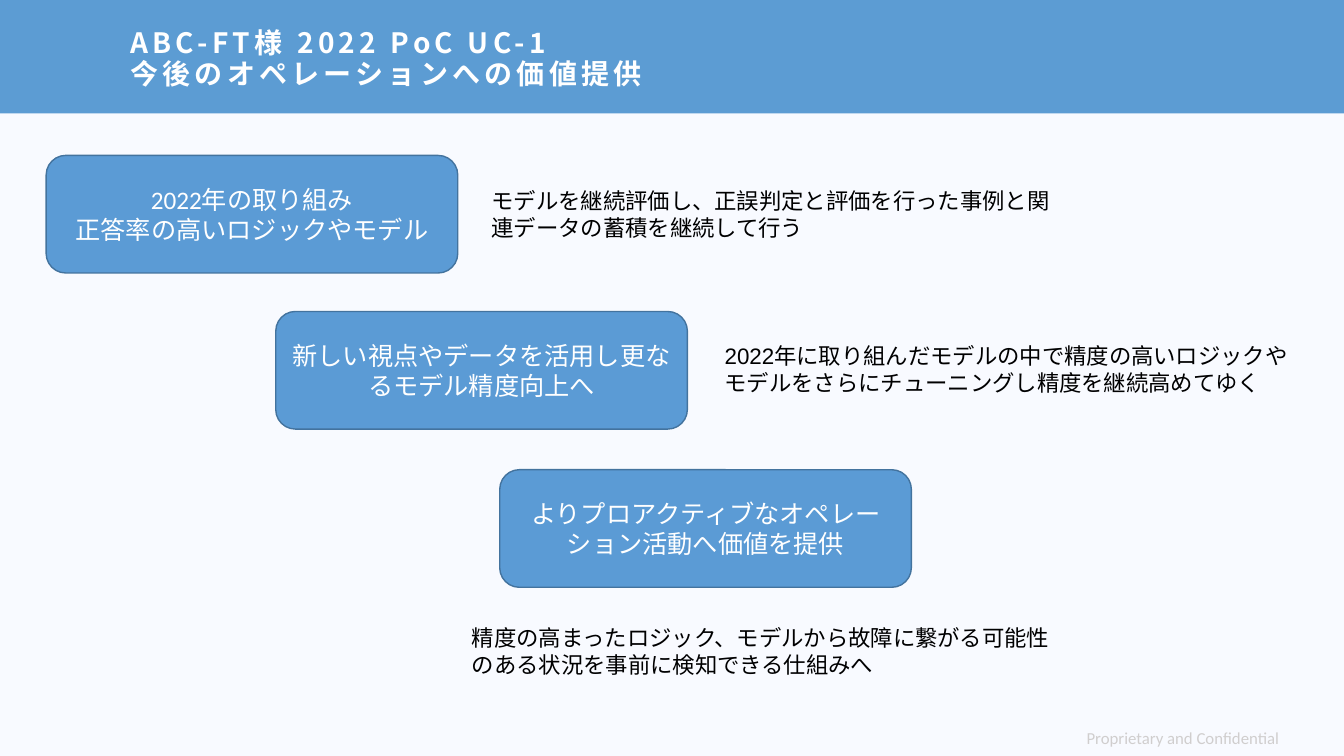
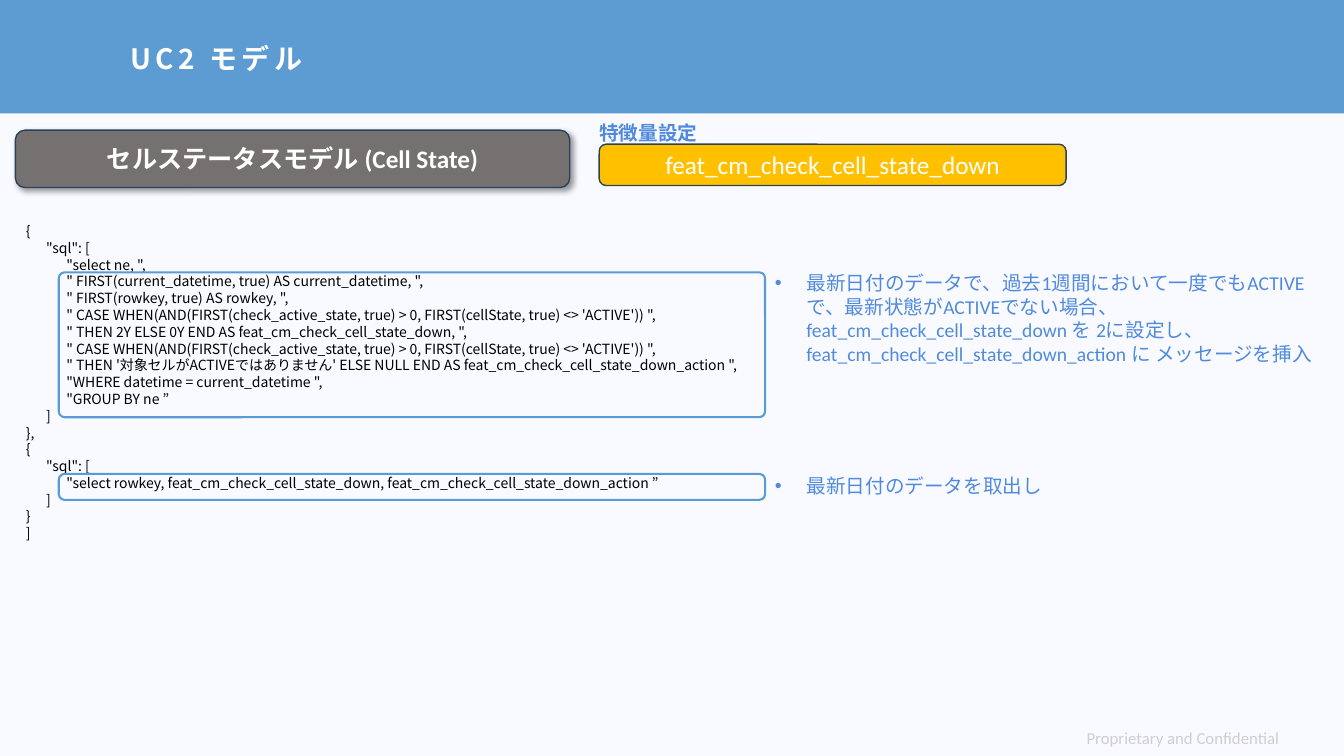
from dataclasses import dataclass

from lxml import etree
from pptx import Presentation
from pptx.dml.color import RGBColor
from pptx.enum.shapes import MSO_SHAPE
from pptx.enum.text import MSO_ANCHOR, MSO_AUTO_SIZE, PP_ALIGN
from pptx.oxml.ns import qn
from pptx.util import Pt

RECT, ROUND = MSO_SHAPE.RECTANGLE, MSO_SHAPE.ROUNDED_RECTANGLE
LEFT, CENTER = PP_ALIGN.LEFT, PP_ALIGN.CENTER
MIDDLE, NO_FIT = MSO_ANCHOR.MIDDLE, MSO_AUTO_SIZE.NONE
TITLE_ONLY = 5


@dataclass(frozen=True)
class Theme:
    # Colours
    back: str = "F8FAFF"
    band: str = "5C9CD3"
    blue: str = "5B9BD5"
    edge: str = "43739E"
    navy: str = "28445D"
    gray: str = "767171"
    gold: str = "FFC000"
    note: str = "518ADC"
    pale: str = "D0CECE"
    white: str = "FFFFFF"
    black: str = "000000"
    # Fonts
    body: str = "Calibri"
    plain: str = "Arial"
    mono: str = "Noto Sans CJK JP"
    # Type sizes
    head: int = 20
    large: int = 18
    text: int = 16
    small: int = 14
    foot: int = 12
    code: int = 10


def rgb(color):
    return RGBColor.from_string(color)


def child(node, tag, **attrs):
    return etree.SubElement(node, qn(tag), attrs)


class Deck:
    """The style, the presentation and the current slide."""

    def __init__(self, theme):
        self.theme = theme
        self.prs = Presentation()
        self.prs.slide_width, self.prs.slide_height = Pt(960), Pt(540)
        self.slide = None

    def style(self, par, size, color, font=None, bold=False):
        par.font.name = font or self.theme.body
        par.font.size = Pt(size)
        par.font.bold = bold
        par.font.color.rgb = rgb(color)

    def page(self, title):
        """Start a slide with its band, footer and title."""
        t = self.theme
        self.slide = self.prs.slides.add_slide(self.prs.slide_layouts[TITLE_ONLY])
        fill = self.slide.background.fill
        fill.solid()
        fill.fore_color.rgb = rgb(t.back)
        self.shape(0, 0, 960, 81, RECT, fill=t.band)
        self.text("Proprietary and Confidential", 769, 516, 190, 22,
                  t.foot, t.pale)

        head = self.slide.shapes.title
        self.slide.shapes._spTree.append(head._element)  # in front of the band
        head.left, head.top, head.width, head.height = Pt(86), Pt(13), Pt(850), Pt(59)
        frame = head.text_frame
        frame.auto_size, frame.vertical_anchor = NO_FIT, MIDDLE
        frame.word_wrap = True
        par = frame.paragraphs[0]
        par.text = title.replace("\n", "\v")
        par.alignment, par.line_spacing = LEFT, Pt(21.6)
        self.style(par, t.head, t.white, t.mono, True)
        par.font._element.set("spc", "300")

    def shape(self, x, y, w, h, kind=ROUND, fill=None, line=None, width=1):
        item = self.slide.shapes.add_shape(kind, Pt(x), Pt(y), Pt(w), Pt(h))
        item.shadow.inherit = False
        if fill:
            item.fill.solid()
            item.fill.fore_color.rgb = rgb(fill)
        else:
            item.fill.background()
        if line:
            item.line.color.rgb = rgb(line)
            item.line.width = Pt(width)
        else:
            item.line.fill.background()
        return item

    def label(self, text, x, y, w, h, fill, line, bold=False):
        """Rounded box with centred white text."""
        item = self.shape(x, y, w, h, fill=fill, line=line)
        frame = item.text_frame
        frame.text = text
        frame.word_wrap, frame.vertical_anchor = True, MIDDLE
        for par in frame.paragraphs:
            par.alignment = CENTER
            self.style(par, self.theme.large, self.theme.white, bold=bold)
        return item

    def shade(self, item):
        """Soft shadow to the lower right."""
        effects = item._element.spPr.find(qn("a:effectLst"))
        outer = child(effects, "a:outerShdw", blurRad=str(Pt(4)), dist=str(Pt(3)),
                      dir="2700000", algn="tl", rotWithShape="0")
        tint = child(outer, "a:srgbClr", val=self.theme.black)
        child(tint, "a:alpha", val="40000")

    def text(self, text, x, y, w, h, size, color, font=None, bold=False, wrap=True):
        box = self.slide.shapes.add_textbox(Pt(x), Pt(y), Pt(w), Pt(h))
        frame = box.text_frame
        frame.word_wrap = wrap
        frame.text = text
        for par in frame.paragraphs:
            self.style(par, size, color, font, bold)
        return frame

    def bullet(self, text, x, y, w, h):
        frame = self.text("", x, y, w, h, self.theme.small, self.theme.note)
        par = frame.add_paragraph() if frame.text else frame.paragraphs[0]
        props = par._p.get_or_add_pPr()
        for node in list(props):
            props.remove(node)
        props.set("marL", str(Pt(22.5)))
        props.set("indent", str(-Pt(22.5)))
        child(props, "a:buFont", typeface=self.theme.plain)
        child(props, "a:buChar", char="•")
        par.text = text
        self.style(par, self.theme.small, self.theme.note)

    def code(self, text, x, y, w, h):
        t = self.theme
        box = self.slide.shapes.add_textbox(Pt(x), Pt(y), Pt(w), Pt(h))
        box.text_frame.word_wrap = False
        box.text_frame.text = text.replace("    ", "\t")
        for par in box.text_frame.paragraphs:
            tabs = child(par._p.get_or_add_pPr(), "a:tabLst")
            for level in (1, 2):
                child(tabs, "a:tab", pos=str(Pt(14.4 * level)), algn="l")
            par.line_spacing = Pt(12)
            self.style(par, t.code, t.black, t.mono)

    def frame(self, x, y, w, h, round_by):
        """Outline around a part of the code."""
        item = self.shape(x, y, w, h, line=self.theme.blue, width=1.5)
        item.adjustments[0] = round_by


# Box text, box place, note text, note place
STEPS = [
    ("2022年の取り組み\n正答率の高いロジックやモデル", (33, 111),
     "モデルを継続評価し、正誤判定と評価を行った事例と関連データの蓄積を継続して行う",
     (344, 130)),
    ("新しい視点やデータを活用し更なるモデル精度向上へ", (197, 222.5),
     "2022年に取り組んだモデルの中で精度の高いロジックやモデルをさらにチューニングし精度を継続高めてゆく",
     (510.5, 241)),
    ("よりプロアクティブなオペレーション活動へ価値を提供", (357, 335.5),
     "精度の高まったロジック、モデルから故障に繋がる可能性のある状況を事前に検知できる仕組みへ",
     (330, 442)),
]

QUERY = """{
    "sql": [
        "select ne, ",
        " FIRST(current_datetime, true) AS current_datetime, ",
        " FIRST(rowkey, true) AS rowkey, ",
        " CASE WHEN(AND(FIRST(check_active_state, true) > 0, FIRST(cellState, true) <> 'ACTIVE')) ",
        " THEN 2Y ELSE 0Y END AS feat_cm_check_cell_state_down, ",
        " CASE WHEN(AND(FIRST(check_active_state, true) > 0, FIRST(cellState, true) <> 'ACTIVE')) ",
        " THEN '対象セルがACTIVEではありません' ELSE NULL END AS feat_cm_check_cell_state_down_action ",
        "WHERE datetime = current_datetime ",
        "GROUP BY ne ”
    ]
},
{
    "sql": [
        "select rowkey, feat_cm_check_cell_state_down, feat_cm_check_cell_state_down_action ”
    ]
}
]"""

# Frame top, height and rounding; bullet top, width, height and text
PARTS = [
    (194.5, 103.5, 0.04, 190, 402, 75,
     "最新日付のデータで、過去1週間において一度でもACTIVEで、最新状態がACTIVEでない場合、"
     "feat_cm_check_cell_state_down を 2に設定し、"
     "feat_cm_check_cell_state_down_action に メッセージを挿入"),
    (338.5, 18.5, 0.22, 335, 271, 24, "最新日付のデータを取出し"),
]


def main():
    theme = Theme()
    deck = Deck(theme)

    # Value for future operations
    deck.page("ABC-FT様 2022 PoC UC-1\n今後のオペレーションへの価値提供")
    for name, spot, note, place in STEPS:
        deck.label(name, *spot, 294, 84, theme.blue, theme.edge)
        deck.text(note, *place, 428.5, 46, theme.text, theme.black, theme.plain)

    # Cell state model
    deck.page("UC2 モデル")
    model = deck.label("セルステータスモデル (Cell State)", 11, 93, 396, 41,
                       theme.gray, theme.navy, True)
    deck.shade(model)
    deck.label("feat_cm_check_cell_state_down", 428, 103, 333.5, 29.5,
               theme.gold, theme.navy)
    deck.text("特徴量設定", 421, 83, 99.5, 24, theme.small, theme.note, bold=True)
    deck.code(QUERY, 11.5, 155.5, 535, 237.5)
    for top, tall, bend, y, wide, high, note in PARTS:
        deck.frame(42, top, 504.5, tall, bend)
        deck.bullet(note, 546.5, y, wide, high)

    deck.prs.save("out.pptx")


if __name__ == "__main__":
    main()
